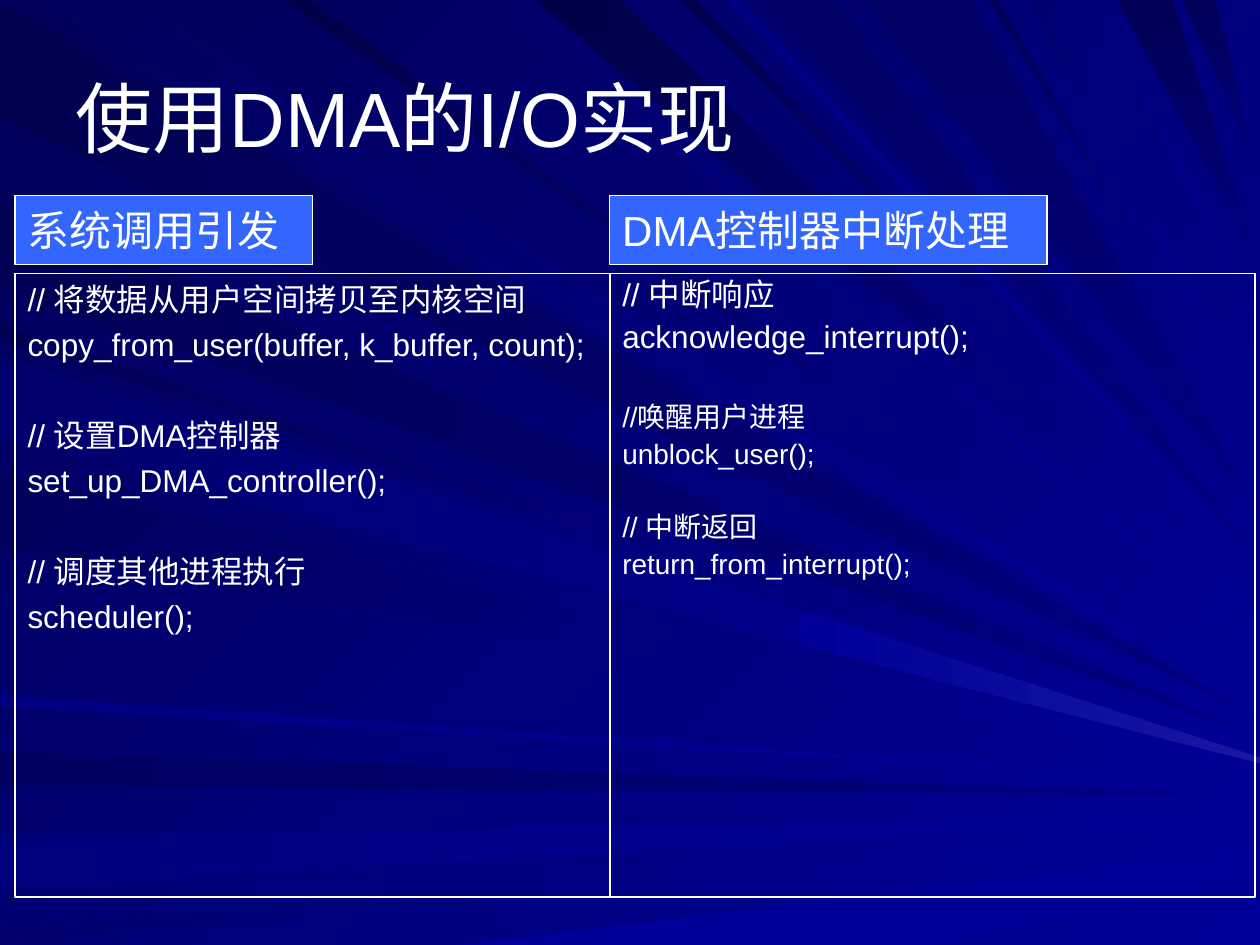
from pptx import Presentation
from pptx.dml.color import RGBColor
from pptx.enum.shapes import MSO_SHAPE
from pptx.enum.text import MSO_ANCHOR, PP_ALIGN
from pptx.util import Pt

PX = 9144
WIDE, HIGH = 1000, 750

THEME = {
    "font": "Arial", "ink": "FFFFFF", "label": "3366FF",
    "title": 44, "head": 24, "code": 18, "small": 16, "rule": 0.75,
    "back": (225, "000099", "000058"),
    "bright": "000099", "deep": "000080", "gleam": "1717A2",
}

TITLE = "使用DMA的I/O实现"

PANELS = [
    {
        "head": "系统调用引发", "left": 12, "wide": 472, "tab": 236, "pitch": 1.0,
        "code": [
            ("// 将数据从用户空间拷贝至内核空间", "code", 0),
            ("copy_from_user(buffer, k_buffer, count);", "code", 4.5),
            ("// 设置DMA控制器", "code", 30),
            ("set_up_DMA_controller();", "code", 4.5),
            ("// 调度其他进程执行", "code", 30),
            ("scheduler();", "code", 4.5),
        ],
    },
    {
        "head": "DMA控制器中断处理", "left": 484, "wide": 512, "tab": 347, "pitch": 0.9,
        "code": [
            ("// 中断响应", "code", 0),
            ("acknowledge_interrupt();", "code", 4.5),
            ("//唤醒用户进程", "small", 27),
            ("unblock_user();", "small", 4),
            ("// 中断返回", "small", 24.5),
            ("return_from_interrupt();", "small", 4),
        ],
    },
]

RAYS = [
    ("left", "deep", 180, [
        ("000051", 2, 93, 570), ("000061", 596, 623, 632), ("000055", 159, 228, 585),
    ]),
    ("left", "bright", 180, [
        ("00007D", 665, 704, 647), ("00006F", 735, 750, 662), ("000082", 552, 560, 622),
    ]),
    ("top", "bright", 225, [
        ("00005D", 26, 101, 563), ("00006B", 398, 416, 518), ("000047", 426, 492, 493),
        ("00004F", 540, 552, 463), ("00004A", 225, 247, 550), ("000082", 577, 588, 454),
        ("000058", 785, 792, 357), ("00006F", 815, 824, 336), ("000079", 865, 872, 254),
    ]),
    ("top", "deep", 270, [
        ("000065", 606, 661, 446), ("000065", 686, 770, 409),
        ("000055", 887, 930, 210), ("000059", 939, 964, 140),
    ]),
    ("left", "bright", 225, [
        ("000053", 258, 270, 589), ("000061", 278, 342, 599), ("00005D", 374, 437, 606),
    ]),
    ("left", "bright", 180, [("00006F", 283, 347, 604)]),
]

GLEAMS = [
    ("bright", [(364, 750), (742, 750), (801, 737), (756, 702)]),
    ("bright", [(756, 702), (801, 737), (1000, 694), (1000, 672)]),
    ("gleam", [(637, 485), (633, 511), (1000, 606), (1000, 601)]),
]


def rgb(code):
    return RGBColor.from_string(code)


def apply(thing, **vals):
    for name, val in vals.items():
        setattr(thing, name, val)


def paint(fill, turn, first, last):
    if last is None:
        fill.solid()
        fill.fore_color.rgb = rgb(first)
        return
    fill.gradient()
    fill.gradient_angle = (360 - turn) % 360
    for stop, code in zip(fill.gradient_stops, (first, last)):
        stop.color.rgb = rgb(code)


def draw_ray(shapes, points, turn, first, last):
    pen = shapes.build_freeform(*points[0], scale=PX)
    pen.add_line_segments(points[1:], close=True)
    ray = pen.convert_to_shape()
    ray.shadow.inherit = False
    ray.line.fill.background()
    paint(ray.fill, turn, first, last)


def draw_rays(shapes):
    for side, tone, turn, rays in RAYS:
        for dark, start, end, tip in rays:
            base = [(0, n) if side == "left" else (n, 0) for n in (start, end)]
            draw_ray(shapes, base + [(WIDE, tip)], turn, THEME[tone], dark)
    for tone, points in GLEAMS:
        draw_ray(shapes, points, 180, THEME[tone], THEME["bright"])


def write(shape, lines, anchor, pitch=1.0, hang=0):
    frame = shape.text_frame
    apply(frame, word_wrap=True, vertical_anchor=anchor,
          margin_left=10 * PX, margin_right=10 * PX,
          margin_top=5 * PX, margin_bottom=5 * PX)
    for i, (text, size, before) in enumerate(lines):
        para = frame.add_paragraph() if i else frame.paragraphs[0]
        apply(para, alignment=PP_ALIGN.LEFT, line_spacing=pitch)
        if before:
            para.space_before = Pt(before)
        if hang:
            props = para._p.get_or_add_pPr()
            props.set("marL", str(hang * PX))
            props.set("indent", str(-hang * PX))
        run = para.add_run()
        run.text = text
        apply(run.font, name=THEME["font"], size=Pt(THEME[size]))
        run.font.color.rgb = rgb(THEME["ink"])


def add_box(shapes, left, top, wide, high, fill=None):
    box = shapes.add_shape(MSO_SHAPE.RECTANGLE, *(n * PX for n in (left, top, wide, high)))
    box.shadow.inherit = False
    if fill:
        paint(box.fill, 0, fill, None)
    else:
        box.fill.background()
    box.line.color.rgb = rgb(THEME["ink"])
    box.line.width = Pt(THEME["rule"])
    return box


def main():
    deck = Presentation()
    apply(deck, slide_width=WIDE * PX, slide_height=HIGH * PX)
    slide = deck.slides.add_slide(deck.slide_layouts[6])
    paint(slide.background.fill, *THEME["back"])
    shapes = slide.shapes
    draw_rays(shapes.add_group_shape().shapes)

    title = shapes.add_textbox(*(n * PX for n in (50, 30, 900, 125)))
    write(title, [(TITLE, "title", 0)], MSO_ANCHOR.MIDDLE)
    for panel in PANELS:
        body = add_box(shapes, panel["left"], 217, panel["wide"], 495)
        write(body, panel["code"], MSO_ANCHOR.TOP, panel["pitch"], 38)
    for panel in PANELS:
        label = add_box(shapes, panel["left"], 155, panel["tab"], 55, THEME["label"])
        write(label, [(panel["head"], "head", 0)], MSO_ANCHOR.MIDDLE)
    deck.save("out.pptx")


if __name__ == "__main__":
    main()
